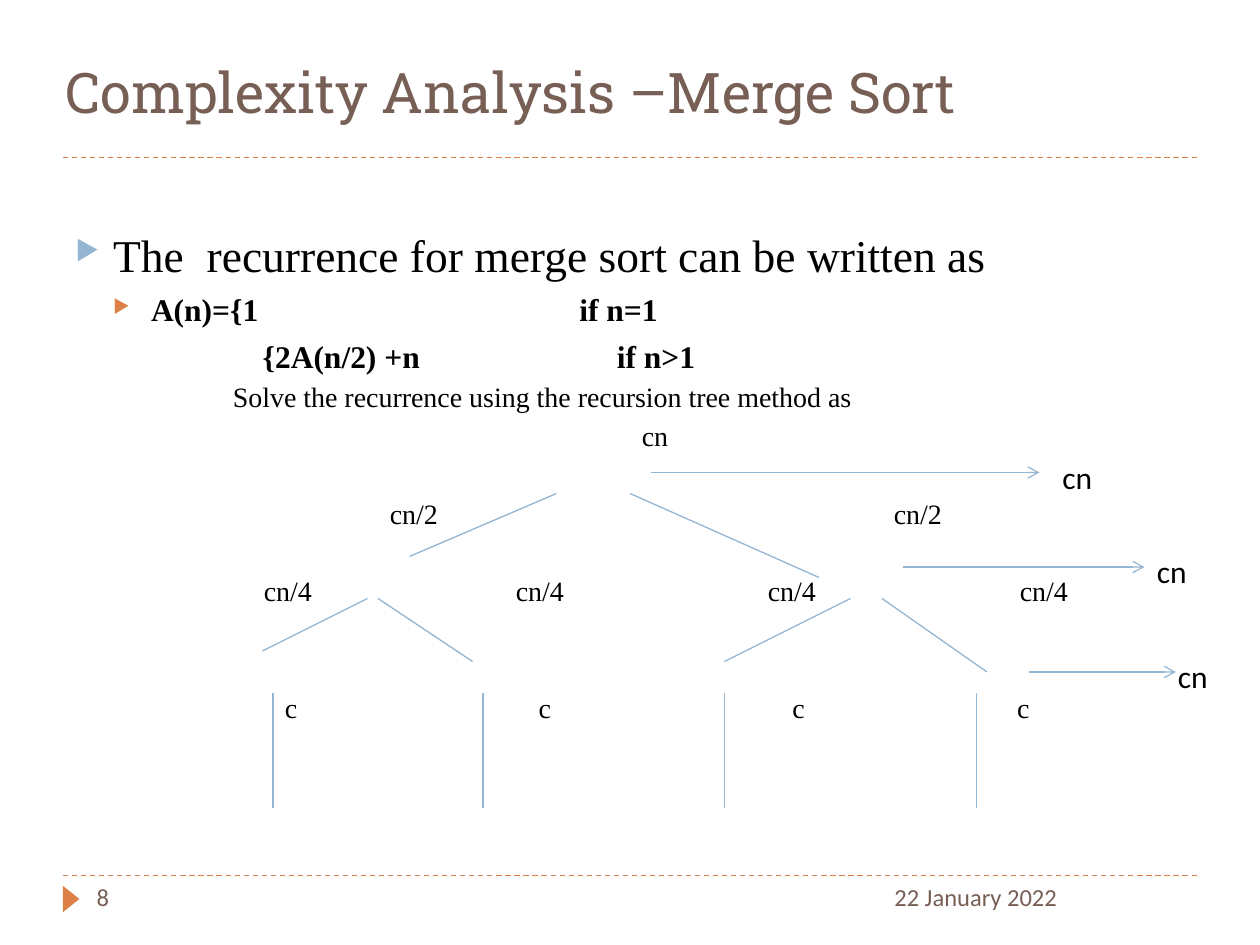
"""Build the merge sort recursion tree slide."""
from lxml.etree import SubElement as Sub
from pptx import Presentation
from pptx.dml.color import RGBColor
from pptx.enum.dml import MSO_LINE
from pptx.enum.shapes import MSO_CONNECTOR, MSO_SHAPE
from pptx.enum.text import MSO_ANCHOR
from pptx.oxml.ns import qn
from pptx.util import Pt

BLUE, ORANGE, BROWN, BLACK = "94B6D2", "DD8047", "775F55", "000000"
SERIF, SANS, SLAB = "Times New Roman", "Calibri", "Roboto Slab"

RULES = [90, 500.4]
TITLE = ("Complexity Analysis –Merge Sort", 30.5, 22.3, 648, 52.6, 32, SLAB, BROWN)
FOOT = [
    ("22 January 2022", 504, 500.4, 180, 28.8, 14, SANS, BROWN),
    ("8", 48.2, 500.4, 156, 28.8, 14, SANS, BROWN),
]
COSTS = [
    ("cn", 600, 258, 60, 28.8, 18, SANS, BLACK),
    ("cn", 654, 312, 48, 28.8, 18, SANS, BLACK),
    ("cn", 666, 372, 54, 28.8, 18, SANS, BLACK),
]
BODY = [
    dict(text="The  recurrence for merge sort can be written as", size=26,
         left=21.6, hang=21.6, mark=BLUE),
    dict(text="A(n)={1\t\t\tif n=1", size=18, bold=True, gap=5,
         left=43.2, hang=21.6, mark=ORANGE),
    dict(text="{2A(n/2) +n\tif n>1", size=18, bold=True, gap=5, left=107, tab=202.4),
    dict(text="Solve the recurrence using the recursion tree method as", gap=3, left=90),
    dict(text="cn", gap=3, left=323.7),
    dict(text="cn/2\tcn/2", gap=25.2, left=179.7, tab=288),
    dict(text="cn/4\tcn/4\tcn/4\tcn/4", gap=25, left=107.7, tab=144),
    dict(text="c\tc\tc\tc", gap=48, left=119.7, tab=145),
]
EDGES = [
    (318, 282, 234, 318), (360, 282, 468, 330),
    (210, 342, 150, 372), (216, 342, 270, 378),
    (486, 342, 414, 378), (504, 342, 564, 384),
]
STEMS = [156, 276, 414, 558]
ARROWS = [(372, 270, 594), (516, 324, 654), (588, 384, 672)]


def color(code):
    return RGBColor.from_string(code)


def add_line(x1, y1, x2, y2, code=BLUE, dash=False, head=False):
    line = slide.shapes.add_connector(
        MSO_CONNECTOR.STRAIGHT, Pt(x1), Pt(y1), Pt(x2), Pt(y2))
    line.line.color.rgb = color(code)
    line.line.width = Pt(0.75)
    if dash:
        line.line.dash_style = MSO_LINE.DASH
    if head:
        Sub(line.line._get_or_add_ln(), qn("a:tailEnd"), type="arrow")
    Sub(line._element.spPr, qn("a:effectLst"))


def add_box(x, y, w, h):
    frame = slide.shapes.add_textbox(Pt(x), Pt(y), Pt(w), Pt(h)).text_frame
    frame.word_wrap = True
    return frame


def add_run(para, text, size, face, code, bold=False):
    run = para.add_run()
    run.text = text
    font = run.font
    font.size, font.name, font.bold = Pt(size), face, bold
    font.color.rgb = color(code)


def add_label(text, x, y, w, h, size, face, code):
    frame = add_box(x, y, w, h)
    add_run(frame.paragraphs[0], text, size, face, code)
    return frame


def add_item(para, text, size=16, bold=False, gap=0, left=0, hang=0, mark=None, tab=72):
    para.space_before = Pt(gap)
    props = para._p.get_or_add_pPr()
    props.set("marL", str(Pt(left)))
    props.set("indent", str(-Pt(hang)))
    props.set("defTabSz", str(Pt(tab)))
    if mark:
        Sub(Sub(props, qn("a:buClr")), qn("a:srgbClr"), val=mark)
        Sub(props, qn("a:buSzPct"), val="60000")
        Sub(props, qn("a:buChar"), char="▶")
    else:
        Sub(props, qn("a:buNone"))
    add_run(para, text, size, SERIF, BLACK, bold)


deck = Presentation()
deck.slide_width, deck.slide_height = Pt(720), Pt(540)
slide = deck.slides.add_slide(deck.slide_layouts[6])

for y in RULES:
    add_line(36, y, 684, y, ORANGE, dash=True)
flag = slide.shapes.add_shape(
    MSO_SHAPE.ISOSCELES_TRIANGLE, Pt(33.1), Pt(509), Pt(15.1), Pt(9.4))
flag.rotation = 90
flag.shadow.inherit = False
flag.fill.solid()
flag.fill.fore_color.rgb = color(ORANGE)
flag.line.fill.background()

add_label(*TITLE).vertical_anchor = MSO_ANCHOR.BOTTOM
for label in FOOT:
    add_label(*label)

body = add_box(36, 126, 672, 372)
for i, item in enumerate(BODY):
    add_item(body.add_paragraph() if i else body.paragraphs[0], **item)

for edge in EDGES:
    add_line(*edge)
for x in STEMS:
    add_line(x, 396, x, 462)
for x1, y, x2 in ARROWS:
    add_line(x1, y, x2, y, head=True)
for label in COSTS:
    add_label(*label)

deck.save("out.pptx")
